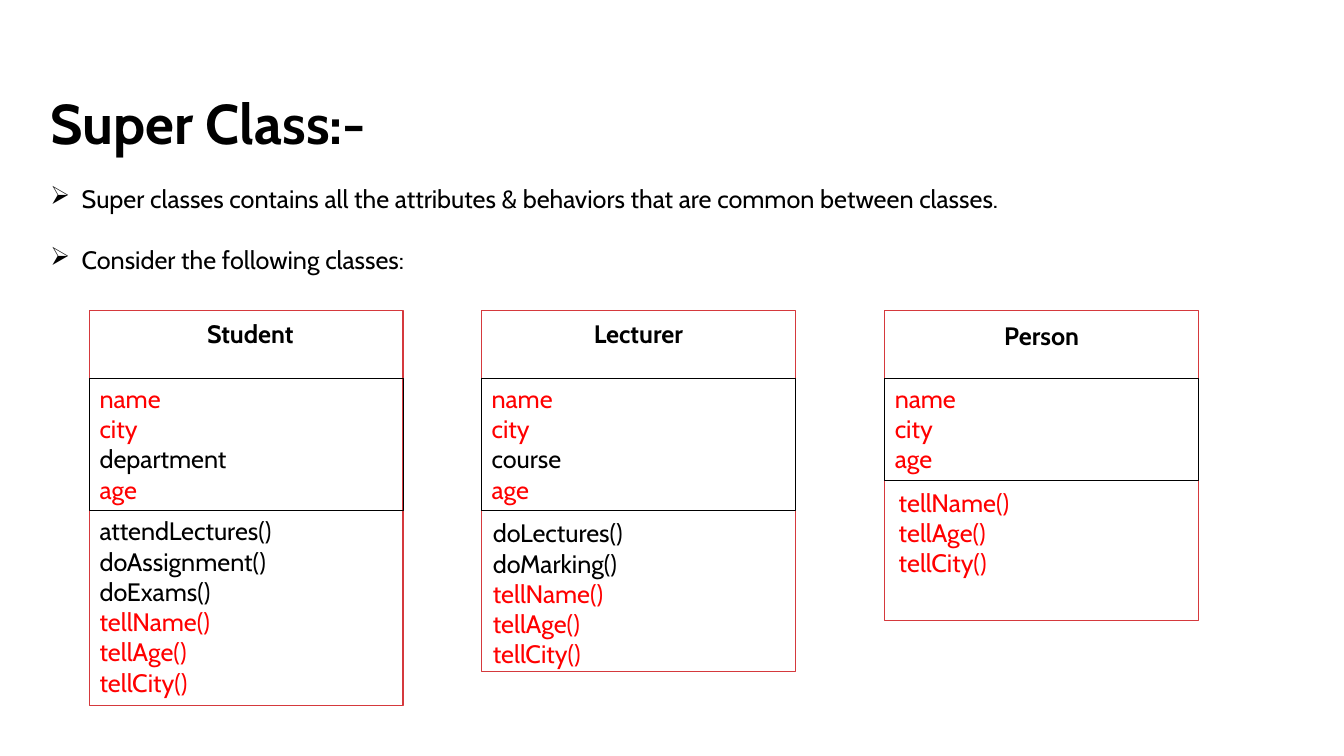
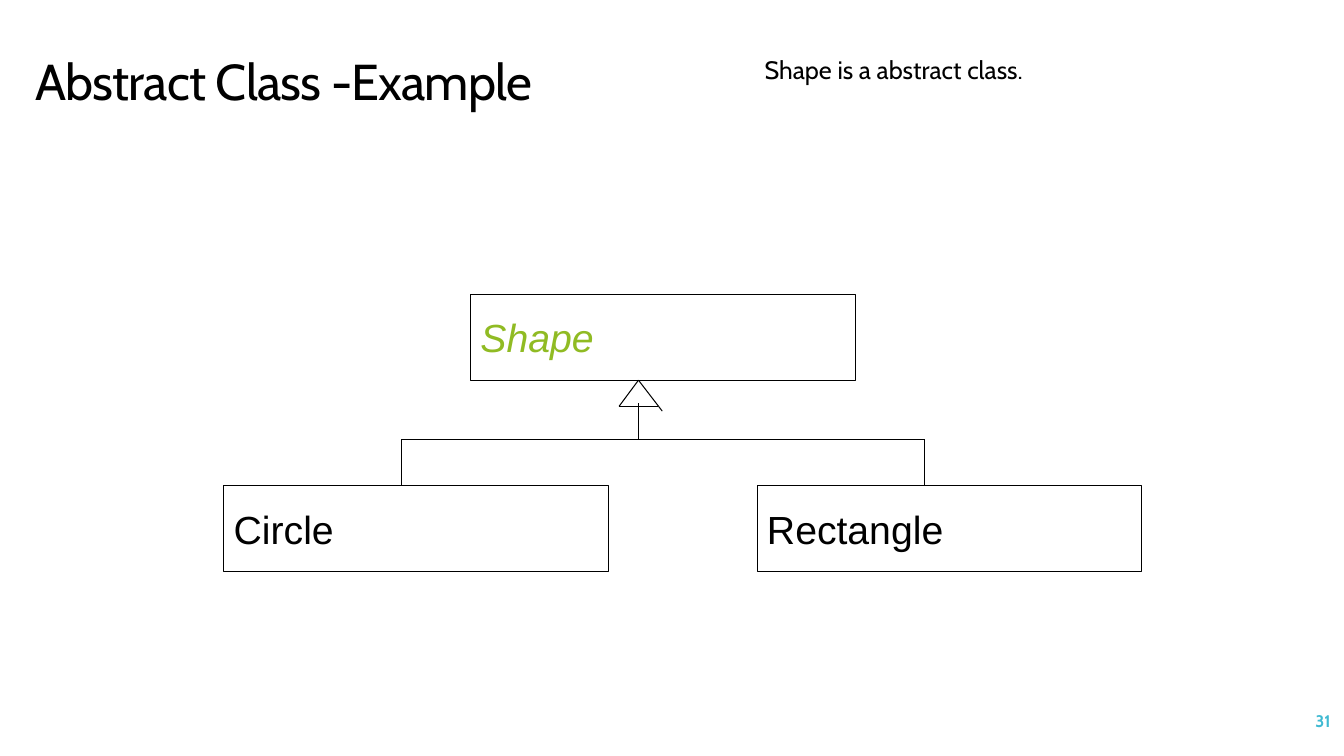
from dataclasses import dataclass

from lxml.etree import SubElement
from pptx import Presentation
from pptx.dml.color import RGBColor
from pptx.enum.shapes import MSO_CONNECTOR as Connector
from pptx.enum.shapes import MSO_SHAPE as Preset
from pptx.enum.text import MSO_ANCHOR as Anchor
from pptx.enum.text import PP_ALIGN as Align
from pptx.oxml.ns import qn
from pptx.util import Cm, Pt

BLACK = "000000"
WHITE = "FFFFFF"
RED = "FF0000"
CARD_RED = "D5393D"
GREEN = "90BB23"
CYAN = "40BAD2"
FONT = "Cabin"
DIAGRAM_FONT = "Arial"
BODY_SIZE = 18

CARD_TOP = 7.82
CARD_WIDTH = 7.9
ATTRIBUTES_TOP = 9.53
TEXT_LINE = 0.77
TEXT_INSETS = 0.26
COMMON_MEMBERS = {"name", "city", "age", "tellName()", "tellAge()", "tellCity()"}

NODE_WIDTH = 9.7
NODE_HEIGHT = 2.16


@dataclass
class ClassCard:
    name: str
    left: float
    height: float
    attributes: list
    methods: list
    name_shift: tuple = (0, 0)
    methods_shift: tuple = (0, 0)


CARDS = [
    ClassCard("Student", 2.26, 9.95,
              ["name", "city", "department", "age"],
              ["attendLectures()", "doAssignment()", "doExams()",
               "tellName()", "tellAge()", "tellCity()"],
              name_shift=(0.1, 0)),
    ClassCard("Lecturer", 12.14, 9.1,
              ["name", "city", "course", "age"],
              ["doLectures()", "doMarking()", "tellName()", "tellAge()", "tellCity()"],
              methods_shift=(0.03, 0.05)),
    ClassCard("Person", 22.3, 7.82,
              ["name", "city", "age"],
              ["tellName()", "tellAge()", "tellCity()"],
              name_shift=(0, 0.05), methods_shift=(0.1, 0.05)),
]


def color(value):
    return RGBColor.from_string(value)


def add_run(paragraph, text, size=BODY_SIZE, ink=BLACK, font=FONT, bold=False, italic=False):
    run = paragraph.add_run()
    run.text = text
    run.font.size = Pt(size)
    run.font.name = font
    run.font.bold = bold
    run.font.italic = italic
    run.font.color.rgb = color(ink)
    return run


def add_text_box(slide, left, top, width, height, anchor=Anchor.TOP):
    frame = slide.shapes.add_textbox(Cm(left), Cm(top), Cm(width), Cm(height)).text_frame
    frame.word_wrap = True
    frame.vertical_anchor = anchor
    return frame


def add_box(slide, left, top, width, height, fill=None, line=BLACK, weight=0.75,
            anchor=Anchor.TOP):
    shape = slide.shapes.add_shape(Preset.RECTANGLE, Cm(left), Cm(top), Cm(width), Cm(height))
    shape.shadow.inherit = False
    if fill:
        shape.fill.solid()
        shape.fill.fore_color.rgb = color(fill)
    else:
        shape.fill.background()
    shape.line.color.rgb = color(line)
    shape.line.width = Pt(weight)
    frame = shape.text_frame
    frame.word_wrap = True
    frame.vertical_anchor = anchor
    frame.paragraphs[0].alignment = Align.LEFT
    return frame


def add_line(slide, start, end):
    points = [Cm(value) for value in (*start, *end)]
    connector = slide.shapes.add_connector(Connector.STRAIGHT, *points)
    connector.line.color.rgb = color(BLACK)
    connector.line.width = Pt(0.75)
    properties = connector._element.find(qn("p:spPr"))
    SubElement(properties, qn("a:effectLst"))


def add_bullet(frame, text, space_after=0):
    paragraph = frame.add_paragraph()
    paragraph.space_after = Pt(space_after)
    properties = paragraph._p.get_or_add_pPr()
    properties.set("marL", str(Cm(0.79)))
    properties.set("indent", str(-Cm(0.79)))
    SubElement(properties, qn("a:buChar")).set("char", "➢")
    add_run(paragraph, text)


def add_members(frame, members):
    for index, member in enumerate(members):
        paragraph = frame.add_paragraph() if index else frame.paragraphs[0]
        paragraph.alignment = Align.LEFT
        add_run(paragraph, member, ink=RED if member in COMMON_MEMBERS else BLACK)


def add_class_card(slide, card):
    add_box(slide, card.left, CARD_TOP, CARD_WIDTH, card.height, WHITE, CARD_RED, 0.85)

    shift_x, shift_y = card.name_shift
    heading = add_text_box(slide, card.left + shift_x, 7.9 + shift_y, CARD_WIDTH, 1.02)
    heading.paragraphs[0].alignment = Align.CENTER
    add_run(heading.paragraphs[0], card.name, bold=True)

    attributes_height = TEXT_INSETS + TEXT_LINE * len(card.attributes)
    attributes = add_box(slide, card.left, ATTRIBUTES_TOP, CARD_WIDTH, attributes_height)
    add_members(attributes, card.attributes)

    shift_x, shift_y = card.methods_shift
    methods = add_text_box(slide, card.left + shift_x,
                           ATTRIBUTES_TOP + attributes_height + shift_y,
                           7.62, TEXT_INSETS + TEXT_LINE * len(card.methods))
    add_members(methods, card.methods)


def add_node(slide, text, left, top, ink=BLACK, italic=False):
    frame = add_box(slide, left, top, NODE_WIDTH, NODE_HEIGHT, WHITE, anchor=Anchor.MIDDLE)
    add_run(frame.paragraphs[0], text, 28, ink, DIAGRAM_FONT, italic=italic)


def add_inheritance_lines(slide):
    circle_x, stem_x, rectangle_x = 10.11, 16.09, 23.3
    tip_y, base_y, bus_y, child_y = 9.58, 10.24, 11.07, 12.24
    base_left = 15.6
    segments = [
        ((circle_x, child_y), (circle_x, bus_y)),
        ((circle_x, bus_y), (rectangle_x, bus_y)),
        ((rectangle_x, bus_y), (rectangle_x, child_y)),
        ((stem_x, bus_y), (stem_x, 10.16)),
        ((base_left, base_y), (16.59, base_y)),
        ((base_left, base_y), (stem_x, tip_y)),
        ((16.69, 10.36), (stem_x, tip_y)),
    ]
    for start, end in segments:
        add_line(slide, start, end)


def build_super_class(slide):
    frame = add_text_box(slide, 1.02, 2.11, 30.71, 4.95)
    title = frame.paragraphs[0]
    title.space_after = Pt(19.5)
    add_run(title, "Super Class:-", 40, bold=True)
    add_bullet(frame, "Super classes contains all the attributes & behaviors "
                      "that are common between classes.", 22)
    add_bullet(frame, "Consider the following classes:")
    for card in CARDS:
        add_class_card(slide, card)


def build_abstract_class(slide):
    number = add_text_box(slide, 29.54, 17.65, 4.24, 1.02, Anchor.MIDDLE).paragraphs[0]
    number.alignment = Align.RIGHT
    add_run(number, "31", 12, CYAN, bold=True)

    title = add_text_box(slide, 0.64, 1.09, 13.79, 2.08, Anchor.MIDDLE).paragraphs[0]
    title.line_spacing = 0.9
    run = add_run(title, "Abstract Class -Example", 36)
    run._r.get_or_add_rPr().set("spc", "-60")

    add_node(slide, "Shape", 11.86, 7.42, GREEN, italic=True)
    add_node(slide, "Circle", 5.64, 12.24)
    add_node(slide, "Rectangle", 19.08, 12.24)
    add_inheritance_lines(slide)

    remark = add_text_box(slide, 19.02, 1.24, 8.2, 1.8)
    add_run(remark.paragraphs[0], "Shape is a abstract class.")


def main():
    presentation = Presentation()
    presentation.slide_width = Cm(33.87)
    presentation.slide_height = Cm(19.05)
    for build in (build_super_class, build_abstract_class):
        build(presentation.slides.add_slide(presentation.slide_layouts[6]))
    presentation.save("out.pptx")


if __name__ == "__main__":
    main()
